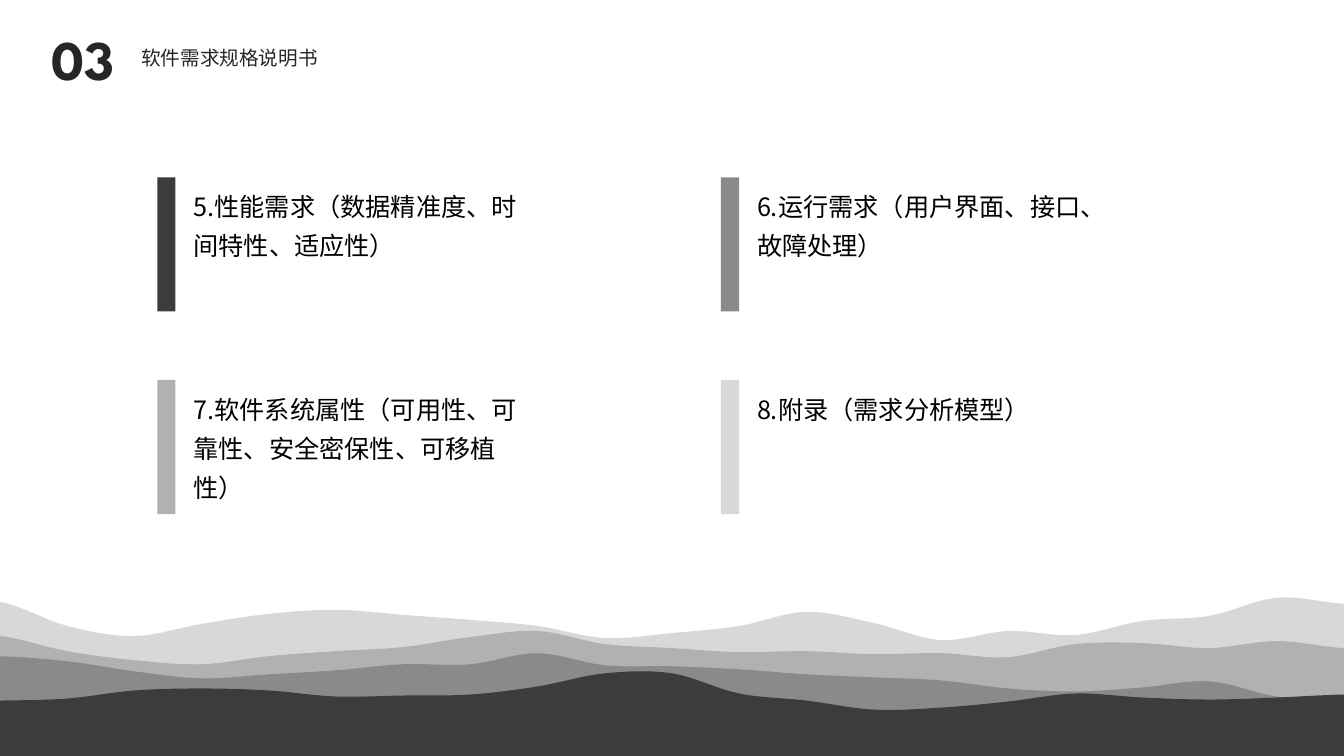
from lxml.etree import SubElement
from pptx import Presentation
from pptx.dml.color import RGBColor
from pptx.enum.shapes import MSO_SHAPE as Shape
from pptx.enum.text import MSO_ANCHOR as Anchor, MSO_AUTO_SIZE as Fit, PP_ALIGN as Align
from pptx.oxml.ns import qn
from pptx.util import Inches, Pt

WIDE, HIGH = 13.33, 7.5
LEFT, TOP = 1.56, 1.76      # first card
COL, ROW = 5.59, 2.01       # card pitch
STEPS = 8                   # line pieces per ridge span

BLACK = RGBColor(0x00, 0x00, 0x00)
INK = RGBColor(0x26, 0x26, 0x26)
DARK = RGBColor(0x3C, 0x3C, 0x3C)
MID = RGBColor(0x8A, 0x8A, 0x8A)
SOFT = RGBColor(0xB1, 0xB1, 0xB1)
PALE = RGBColor(0xD8, 0xD8, 0xD8)
HEAD_FONT, CARD_FONT = "League Spartan", "Noto Sans CJK SC"

CARDS = [
    ("5.性能需求（数据精准度、时间特性、适应性）", DARK),
    ("6.运行需求（用户界面、接口、故障处理）", MID),
    ("7.软件系统属性（可用性、可靠性、安全密保性、可移植性）", SOFT),
    ("8.附录（需求分析模型）", PALE),
]

# Ridge lines from back to front: tops in inches at even steps across the slide
RIDGES = [
    (PALE, [5.97, 6.21, 6.31, 6.19, 6.09, 6.05, 6.1, 6.15, 6.21, 6.33, 6.28,
            6.21, 6.07, 6.18, 6.35, 6.26, 6.3, 6.16, 6.11, 5.93, 5.99]),
    (SOFT, [6.31, 6.46, 6.55, 6.59, 6.51, 6.46, 6.42, 6.32, 6.26, 6.39, 6.43,
            6.47, 6.46, 6.49, 6.48, 6.52, 6.39, 6.38, 6.43, 6.36, 6.43]),
    (MID, [6.51, 6.56, 6.66, 6.73, 6.69, 6.65, 6.59, 6.59, 6.48, 6.6, 6.61,
           6.64, 6.69, 6.72, 6.75, 6.83, 6.86, 6.82, 6.76, 6.91, 6.95]),
    (DARK, [6.95, 6.93, 6.85, 6.83, 6.85, 6.91, 6.9, 6.89, 6.81, 6.68, 6.68,
            6.88, 6.95, 7.04, 7.02, 6.96, 6.88, 6.92, 6.94, 6.92, 6.89]),
]


def smooth(tops):
    """Return a dense Catmull-Rom line through evenly spaced tops."""
    ends = [tops[0], *tops, tops[-1]]
    span = WIDE / (len(tops) - 1)
    line = [(0, tops[0])]
    for i, (a, b, c, d) in enumerate(zip(ends, ends[1:], ends[2:], ends[3:])):
        m, n = (c - a) / 2, (d - b) / 2
        for step in range(1, STEPS + 1):
            t = step / STEPS
            ease = t * t * (3 - 2 * t)
            bend = t * (1 - t) * (m * (1 - t) - n * t)
            line.append(((i + t) * span, b + (c - b) * ease + bend))
    return line


def paint(shape, color):
    shape.shadow.inherit = False
    shape.fill.solid()
    shape.fill.fore_color.rgb = color
    shape.line.fill.background()


def add_hill(slide, color, tops):
    edge = smooth(tops) + [(WIDE, HIGH), (0, HIGH)]
    dots = [(Inches(x), Inches(y)) for x, y in edge]
    form = slide.shapes.build_freeform(*dots[0])
    form.add_line_segments(dots[1:], close=True)
    paint(form.convert_to_shape(), color)


def style(par, name, size, color, bold=False):
    font = par.font
    font.name, font.size, font.bold = name, Pt(size), bold
    font.color.rgb = color


def set_head(holder, text, box, size, bold, anchor):
    holder.left, holder.top, holder.width, holder.height = map(Inches, box)
    frame = holder.text_frame
    frame.text = text
    frame.auto_size = Fit.NONE
    frame.vertical_anchor = anchor
    par = frame.paragraphs[0]
    par.alignment = Align.LEFT
    par.line_spacing, par.space_before = 0.9, Pt(10)
    style(par, HEAD_FONT, size, INK, bold)


def add_card(slide, col, row, text, color):
    x, y = LEFT + col * COL, TOP + row * ROW
    bar = slide.shapes.add_shape(
        Shape.RECTANGLE, *map(Inches, (x, y, 0.18, 1.33)))
    paint(bar, color)
    box = slide.shapes.add_textbox(*map(Inches, (x + 0.26, y, 3.58, 0.89)))
    frame = box.text_frame
    frame.word_wrap = True
    frame.text = text
    par = frame.paragraphs[0]
    par.line_spacing = 1.3
    style(par, CARD_FONT, 18, BLACK)
    props = par._p.pPr.find(qn("a:defRPr"))
    SubElement(props, qn("a:ea")).set("typeface", CARD_FONT)


def main():
    deck = Presentation()
    deck.slide_width, deck.slide_height = Inches(WIDE), Inches(HIGH)
    slide = deck.slides.add_slide(deck.slide_layouts.get_by_name("Section Header"))
    for color, tops in RIDGES:
        add_hill(slide, color, tops)
    title, number = slide.placeholders
    set_head(number, "03", (0.41, 0.27, 0.88, 0.64), 40, True, Anchor.TOP)
    set_head(title, "软件需求规格说明书", (1.3, 0.4, 2.04, 0.37), 14, False,
             Anchor.MIDDLE)
    for i, (text, color) in enumerate(CARDS):
        row, col = divmod(i, 2)
        add_card(slide, col, row, text, color)
    deck.save("out.pptx")


if __name__ == "__main__":
    main()
